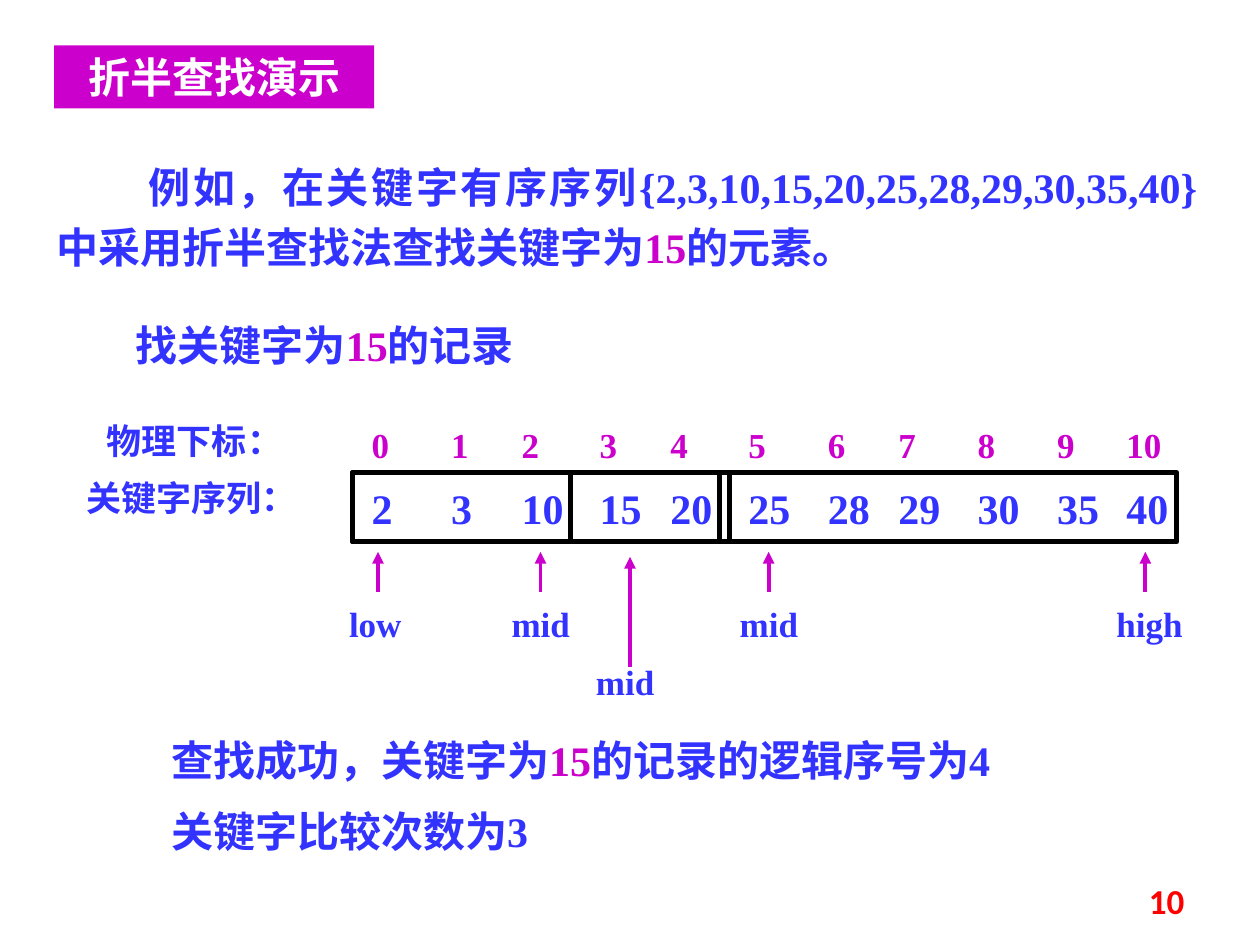
import pptx
import pptx.dml.color
import pptx.enum.shapes
import pptx.enum.text
import pptx.oxml
import pptx.oxml.ns
import pptx.util

Inches, Pt = pptx.util.Inches, pptx.util.Pt
ALIGN = pptx.enum.text.PP_ALIGN
ANCHOR = pptx.enum.text.MSO_ANCHOR
BLUE, MAGENTA, RED, WHITE, BLACK = "3333FF", "CC00CC", "FF0000", "FFFFFF", "000000"
CJK_FONT = "Noto Sans CJK SC"


def color(hex_string):
    return pptx.dml.color.RGBColor.from_string(hex_string)


class SlideBuilder:
    """Holds the text style and the slide being filled."""

    font = "Times New Roman"

    def __init__(self, slide):
        self.slide = slide

    def fill_text(self, frame, paragraphs, size, align=ALIGN.LEFT, font=None):
        """Each paragraph is a list of (text, colour) runs."""
        frame.word_wrap = True
        frame.auto_size = pptx.enum.text.MSO_AUTO_SIZE.NONE
        for number, runs in enumerate(paragraphs):
            paragraph = frame.add_paragraph() if number else frame.paragraphs[0]
            paragraph.alignment = align
            paragraph.space_before = Pt(size / 2 if number else 0)
            paragraph.font.name = font or self.font
            paragraph.font.size = Pt(size)
            paragraph.font.bold = True
            for text, hex_string in runs:
                run = paragraph.add_run()
                run.text = text
                run.font.color.rgb = color(hex_string)

    def title(self, text, left, top, width, height):
        title = self.slide.shapes.title
        title.left, title.top = Inches(left), Inches(top)
        title.width, title.height = Inches(width), Inches(height)
        title.fill.solid()
        title.fill.fore_color.rgb = color(MAGENTA)
        title.text_frame.vertical_anchor = ANCHOR.MIDDLE
        self.fill_text(title.text_frame, [[(text, WHITE)]], 24, ALIGN.CENTER, CJK_FONT)
        # East Asian typeface
        properties = title.text_frame.paragraphs[0].runs[0].font
        properties.name = CJK_FONT
        latin = properties._element.find(pptx.oxml.ns.qn("a:latin"))
        latin.addnext(pptx.oxml.parse_xml(
            f'<a:ea {pptx.oxml.ns.nsdecls("a")} typeface="{CJK_FONT}"/>'))

    def text(self, paragraphs, left, top, width, height, size=24,
             align=ALIGN.LEFT, font=None, padded=True, parent=None):
        box = (parent or self.slide).shapes.add_textbox(
            Inches(left), Inches(top), Inches(width), Inches(height))
        frame = box.text_frame
        if not padded:
            frame.margin_left = frame.margin_right = 0
            frame.margin_top = frame.margin_bottom = 0
        self.fill_text(frame, paragraphs, size, align, font)
        return frame

    def frame(self, left, top, width, height):
        frame = self.slide.shapes.add_shape(
            pptx.enum.shapes.MSO_SHAPE.RECTANGLE,
            Inches(left), Inches(top), Inches(width), Inches(height))
        frame.shadow.inherit = False
        frame.fill.background()
        frame.line.color.rgb = color(BLACK)
        frame.line.width = Pt(3)

    def pointer(self, label, x, tip, tail, label_left, label_top):
        """An upward arrow grouped with its label."""
        group = self.slide.shapes.add_group_shape()
        arrow = group.shapes.add_connector(
            pptx.enum.shapes.MSO_CONNECTOR.STRAIGHT,
            Inches(x), Inches(tail), Inches(x), Inches(tip))
        arrow.line.color.rgb = color(MAGENTA)
        arrow.line.width = Pt(2.25)
        namespace = pptx.oxml.ns.nsdecls("a")
        arrow.line._get_or_add_ln().append(
            pptx.oxml.parse_xml(f'<a:tailEnd {namespace} type="triangle"/>'))
        arrow._element.spPr.append(pptx.oxml.parse_xml(f"<a:effectLst {namespace}/>"))
        self.text([[(label, BLUE)]], label_left, label_top, 0.55, 0.33,
                  size=20, padded=False, parent=group)


def main():
    deck = pptx.Presentation()
    deck.slide_width, deck.slide_height = Inches(10), Inches(7.5)
    builder = SlideBuilder(deck.slides.add_slide(deck.slide_layouts[5]))

    builder.title("折半查找演示", 0.43, 0.36, 2.54, 0.5)

    # Problem statement
    statement = builder.text(
        [[("例如，在关键字有序序列{2,3,10,15,20,25,28,29,30,35,40}中采用折半查找法查找关键字为", BLUE),
          ("15", MAGENTA), ("的元素。", BLUE)]],
        0.35, 1, 9.25, 1.21, align=ALIGN.JUSTIFY)
    statement.margin_top = Inches(0.2)
    statement.paragraphs[0].line_spacing = 1.2
    statement.paragraphs[0]._p.get_or_add_pPr().set("indent", str(Inches(0.73)))

    builder.text([[("找关键字为", BLUE), ("15", MAGENTA), ("的记录", BLUE)]],
                 0.98, 2.49, 3.31, 0.5)

    # Indexed key sequence
    builder.text([[("物理下标：", BLUE)]], 0.75, 3.28, 1.73, 0.44, size=20)
    builder.text([[("关键字序列：", BLUE)]], 0.59, 3.73, 2.2, 0.44, size=20)
    keys = [2, 3, 10, 15, 20, 25, 28, 29, 30, 35, 40]
    columns = [2.95, 3.58, 4.14, 4.76, 5.32, 5.94, 6.57, 7.13, 7.76, 8.39, 8.94]
    for index, (key, left) in enumerate(zip(keys, columns)):
        builder.text([[(str(index), MAGENTA)]], left, 3.36, 0.32, 0.33,
                     size=20, padded=False)
        builder.text([[(str(key), BLUE)]], left, 3.83, 0.39, 0.4, padded=False)

    # Search ranges: whole sequence, left half, narrowed part
    for left, width in [(2.8, 6.54), (2.8, 2.99), (4.53, 1.18)]:
        builder.frame(left, 3.75, width, 0.55)

    # Search pointers
    for label, x in [("low", 3), ("mid", 4.29), ("mid", 6.1), ("high", 9.09)]:
        builder.pointer(label, x, 4.38, 4.7, x - 0.23, 4.78)
    builder.pointer("mid", 5, 4.42, 5.29, 4.73, 5.24)

    # Result
    builder.text(
        [[("查找成功，关键字为", BLUE), ("15", MAGENTA), ("的记录的逻辑序号为4", BLUE)],
         [("关键字比较次数为3", BLUE)]],
        1.26, 5.78, 6.89, 1.11)

    # Slide number
    number = builder.text([[("10", RED)]], 7.17, 6.95, 2.33, 0.4, size=20,
                          align=ALIGN.RIGHT, font="Calibri")
    number.vertical_anchor = ANCHOR.MIDDLE

    deck.save("out.pptx")


if __name__ == "__main__":
    main()
